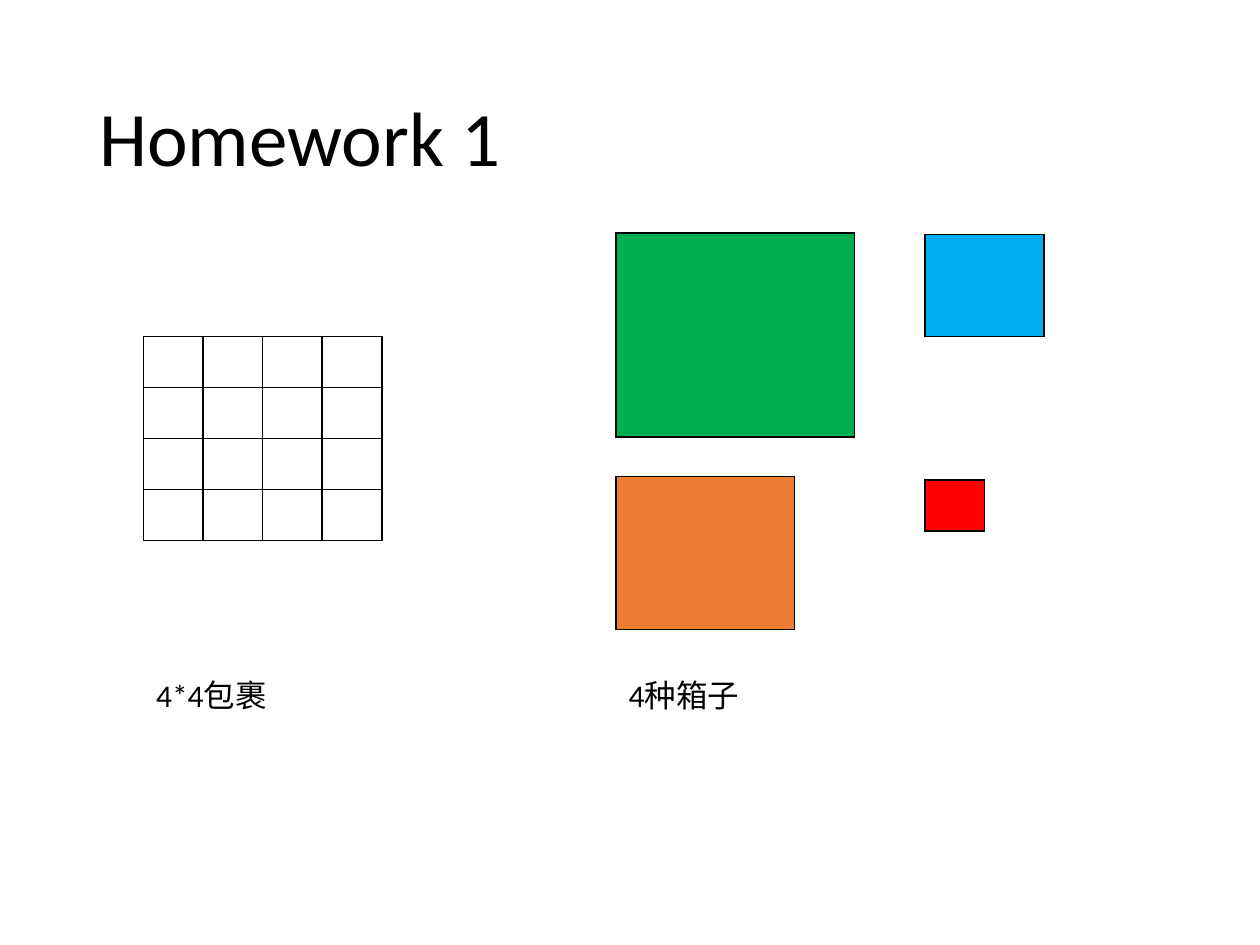
"""Build the homework slide: a parcel grid and four kinds of box."""
from lxml.etree import SubElement
from pptx import Presentation
from pptx.dml.color import RGBColor
from pptx.enum.text import MSO_ANCHOR
from pptx.oxml.ns import qn
from pptx.util import Inches, Pt

CELL_W, CELL_H = 0.4725, 0.405
LEFT, MID, RIGHT = 1.14, 4.89, 7.34
INK, FONT = "000000", "Calibri"
PLAIN = "{2D5ABB26-0587-4C30-8999-92F81FD0307C}"

TEXTS = [
    ("Homework 1", (0.69, 0.4, 8.62, 1.45), 44, MSO_ANCHOR.MIDDLE, 0.9),
    ("4*4包裹", (LEFT, 5.32, 1.61, 0.4), 18, MSO_ANCHOR.TOP, 1.0),
    ("4种箱子", (MID, 5.32, 1.42, 0.4), 18, MSO_ANCHOR.TOP, 1.0),
]
BOXES = [
    (LEFT, 2.67, 4, "FFFFFF", True),
    (RIGHT, 1.86, 2, "00B0F0", False),
    (MID, 3.78, 3, "ED7D31", False),
    (MID, 1.85, 4, "00B050", False),
    (RIGHT, 3.81, 1, "FF0000", False),
]


def color(code):
    return RGBColor.from_string(code)


def add_text(slide, words, place, size, anchor, spacing):
    frame = slide.shapes.add_textbox(*map(Inches, place)).text_frame
    frame.word_wrap = True
    frame.vertical_anchor = anchor
    para = frame.paragraphs[0]
    para.line_spacing = spacing
    run = para.add_run()
    run.text = words
    for key, value in {"name": FONT, "size": Pt(size)}.items():
        setattr(run.font, key, value)
    run.font.color.rgb = color(INK)


def add_edge(cell, side):
    line = SubElement(cell._tc.get_or_add_tcPr(), qn(f"a:ln{side}"), w=str(Pt(1)))
    fill = SubElement(line, qn("a:solidFill"))
    SubElement(fill, qn("a:srgbClr"), val=INK)


def add_box(slide, left, top, count, shade, ruled):
    size = (count * CELL_W, count * CELL_H)
    frame = slide.shapes.add_table(count, count, *map(Inches, (left, top, *size)))
    table = frame.table
    table._tbl.tblPr.find(qn("a:tableStyleId")).text = PLAIN
    for key in ("first_row", "horz_banding"):
        setattr(table, key, False)
    for col in table.columns:
        col.width = Inches(CELL_W)
    for row in table.rows:
        row.height = Inches(CELL_H)
    last = count - 1
    for i in range(count):
        for j in range(count):
            cell = table.cell(i, j)
            cell.margin_top = cell.margin_bottom = 0
            edges = {"L": j == 0, "R": j == last, "T": i == 0, "B": i == last}
            for side, outer in edges.items():
                if ruled or outer:
                    add_edge(cell, side)
            cell.fill.solid()
            cell.fill.fore_color.rgb = color(shade)


def main():
    deck = Presentation()
    deck.slide_width, deck.slide_height = Inches(10), Inches(7.5)
    slide = deck.slides.add_slide(deck.slide_layouts[6])
    for text in TEXTS:
        add_text(slide, *text)
    for box in BOXES:
        add_box(slide, *box)
    deck.save("out.pptx")


if __name__ == "__main__":
    main()
